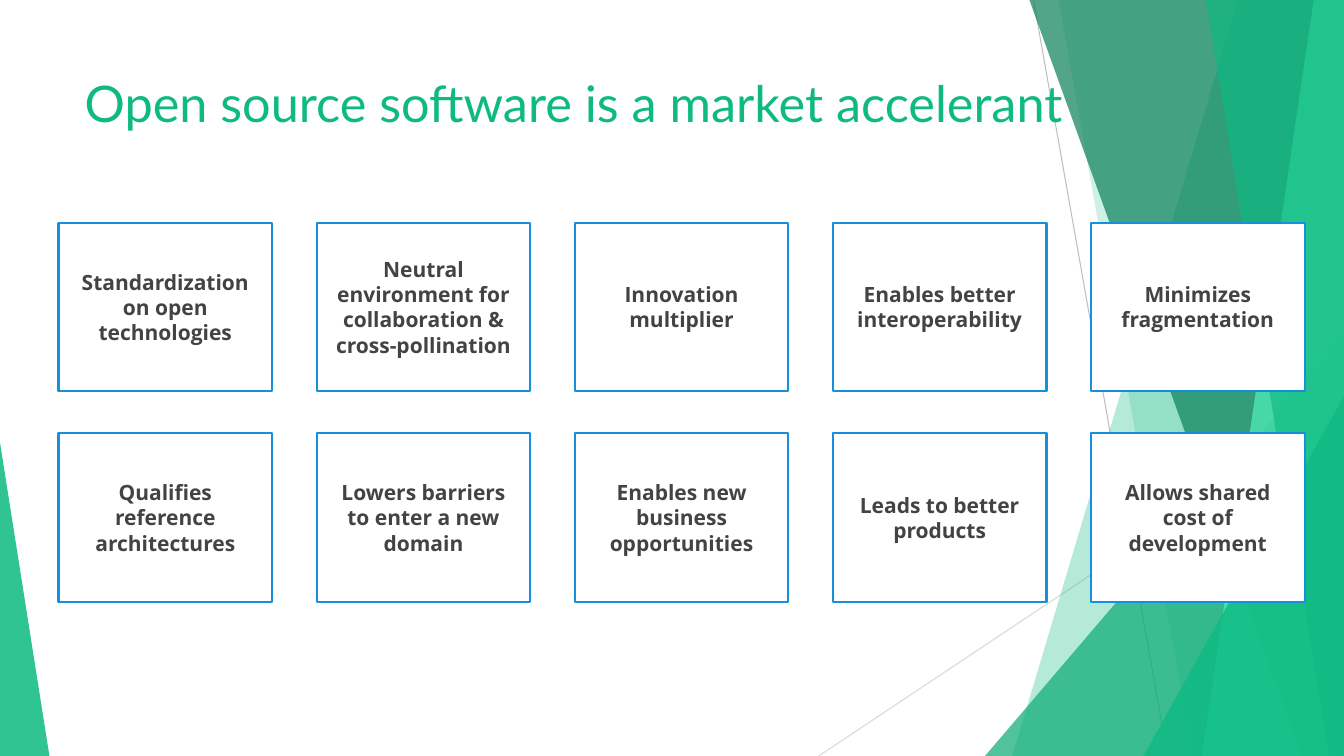
import pptx
import pptx.util
import pptx.dml.color
import pptx.enum.shapes
import pptx.enum.text
import pptx.oxml.ns
from lxml import etree

Inches = pptx.util.Inches
Pt = pptx.util.Pt

TITLE = "Open source software is a market accelerant"
BENEFITS = [
    ["Standardization on open technologies",
     "Neutral environment for collaboration & cross-pollination",
     "Innovation multiplier",
     "Enables better interoperability",
     "Minimizes fragmentation"],
    ["Qualifies reference architectures",
     "Lowers barriers to enter a new domain",
     "Enables new business opportunities",
     "Leads to better products",
     "Allows shared cost of development"],
]

COLORS = {
    "green": "0EBA81", "mid_green": "0DAB76", "dark_green": "0A8059",
    "mint": "52F2BD", "blue": "168FDF", "text": "434343", "white": "FFFFFF",
    "gray": "BFBFBF", "light_gray": "D9D9D9",
}
WIDTH, HEIGHT = 13.33, 7.5

# Thin lines: start, end, color
RAYS = [
    ((10.25, 0), (11.58, HEIGHT), "gray"),
    ((WIDTH, 4.03), (8.12, HEIGHT), "light_gray"),
]
# Facets from back to front. A band reaches the right edge and has the x of
# its left side at top and bottom; a triangle has its box and apex position.
FACETS = [
    ("band", (12.28, 10.04), "green", 30),
    ("band", (10.5, 11.83), "green", 20),
    ("triangle", (9.77, 3.33, 3.56, 4.17, 1), "mid_green", 72),
    ("band", (10.21, 12.91), "dark_green", 70),
    ("band", (13.03, 11.92), "mint", 70),
    ("band", (11.96, 13.18), "green", 65),
    ("triangle", (11.34, 3.93, 1.99, 3.57, 1), "green", 80),
    ("triangle", (0, 4.39, 0.49, 3.11, 0), "green", 85),
]

CARD_LEFT, CARD_TOP = 0.58, 2.21
CARD_WIDTH, CARD_HEIGHT = 2.12, 1.67
COLUMN_STEP, ROW_STEP = 2.56, 2.09
CARD_INSET = 0.13


def color(name):
    return pptx.dml.color.RGBColor.from_string(COLORS[name])


def add_ray(shapes, start, end, color_name):
    ray = shapes.add_connector(
        pptx.enum.shapes.MSO_CONNECTOR.STRAIGHT,
        *[Inches(value) for value in (*start, *end)])
    ray.line.color.rgb = color(color_name)
    ray.line.width = Pt(0.75)
    etree.SubElement(ray.element.spPr, pptx.oxml.ns.qn("a:effectLst"))


def add_facet(shapes, kind, geometry, color_name, opacity):
    if kind == "band":
        top_x, bottom_x = geometry
        builder = shapes.build_freeform(Inches(top_x), 0)
        corners = [(WIDTH, 0), (WIDTH, HEIGHT), (bottom_x, HEIGHT)]
        builder.add_line_segments([(Inches(x), Inches(y)) for x, y in corners])
        facet = builder.convert_to_shape()
    else:
        *box, apex = geometry
        facet = shapes.add_shape(
            pptx.enum.shapes.MSO_SHAPE.ISOSCELES_TRIANGLE,
            *[Inches(value) for value in box])
        facet.adjustments[0] = apex
    facet.shadow.inherit = False
    facet.line.fill.background()
    facet.fill.solid()
    facet.fill.fore_color.rgb = color(color_name)
    fill_color = facet.element.spPr.find(
        "/".join(pptx.oxml.ns.qn(tag) for tag in ("a:solidFill", "a:srgbClr")))
    etree.SubElement(fill_color, pptx.oxml.ns.qn("a:alpha"), val=str(opacity * 1000))


def add_card(shapes, row, column, text):
    card = shapes.add_shape(
        pptx.enum.shapes.MSO_SHAPE.RECTANGLE,
        Inches(CARD_LEFT + column * COLUMN_STEP), Inches(CARD_TOP + row * ROW_STEP),
        Inches(CARD_WIDTH), Inches(CARD_HEIGHT))
    card.shadow.inherit = False
    card.fill.solid()
    card.fill.fore_color.rgb = color("white")
    card.line.color.rgb = color("blue")
    card.line.width = Pt(1.5)
    frame = card.text_frame
    frame.word_wrap = True
    frame.vertical_anchor = pptx.enum.text.MSO_ANCHOR.MIDDLE
    frame.margin_left = frame.margin_right = Inches(CARD_INSET)
    frame.margin_top = frame.margin_bottom = Inches(CARD_INSET)
    frame.text = text
    paragraph = frame.paragraphs[0]
    paragraph.alignment = pptx.enum.text.PP_ALIGN.CENTER
    paragraph.font.name = "Open Sans"
    paragraph.font.size = Pt(15)
    paragraph.font.bold = True
    paragraph.font.color.rgb = color("text")


def set_title(title):
    title.left, title.top = Inches(0.74), Inches(0.67)
    title.width, title.height = Inches(10.93), Inches(1.44)
    frame = title.text_frame
    frame.text = TITLE
    frame.word_wrap = True
    frame.vertical_anchor = pptx.enum.text.MSO_ANCHOR.TOP
    paragraph = frame.paragraphs[0]
    paragraph.alignment = pptx.enum.text.PP_ALIGN.LEFT
    paragraph.font.name = "Lato"
    paragraph.font.size = Pt(36)
    paragraph.font.color.rgb = color("green")


def main():
    presentation = pptx.Presentation()
    presentation.slide_width = Inches(WIDTH)
    presentation.slide_height = Inches(HEIGHT)
    slide = presentation.slides.add_slide(presentation.slide_layouts[5])
    shapes = slide.shapes

    # Background decoration
    for ray in RAYS:
        add_ray(shapes, *ray)
    for facet in FACETS:
        add_facet(shapes, *facet)

    # Grid of benefits
    for row, texts in enumerate(BENEFITS):
        for column, text in enumerate(texts):
            add_card(shapes, row, column, text)

    # Title, brought in front of the decoration
    set_title(shapes.title)
    shapes.element.append(shapes.title.element)

    presentation.save("out.pptx")


if __name__ == "__main__":
    main()
